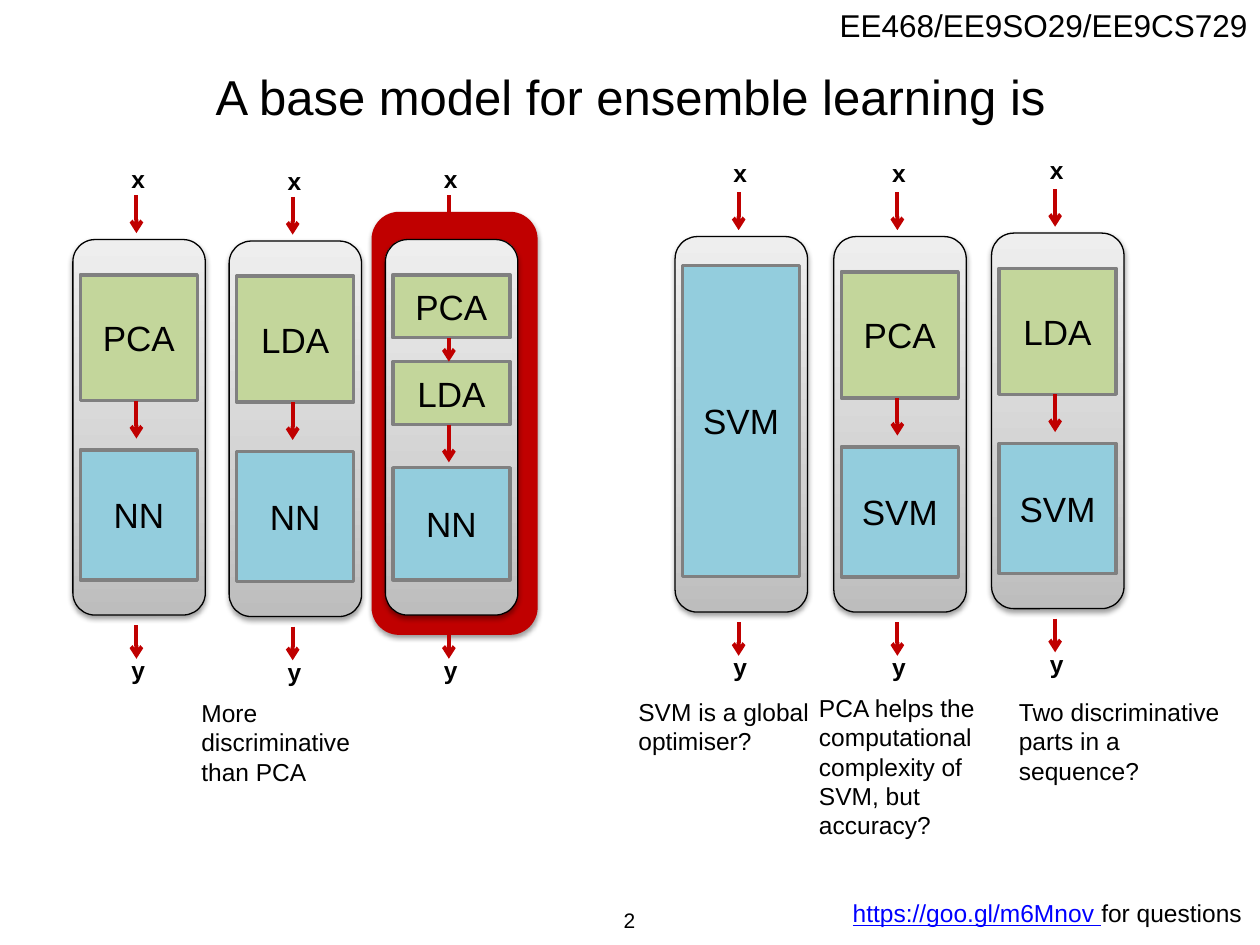
import pptx
import pptx.dml.color
import pptx.enum.shapes
import pptx.enum.text
import pptx.oxml
import pptx.oxml.ns
import pptx.util
from lxml import etree

Cm, Pt = pptx.util.Cm, pptx.util.Pt
SHAPE = pptx.enum.shapes.MSO_SHAPE
ALIGN = pptx.enum.text.PP_ALIGN
ANCHOR = pptx.enum.text.MSO_ANCHOR

BLACK, RED, GREY, BLUE = "000000", "C00000", "808080", "0000FF"
GREEN, TEAL = "C3D69B", "93CDDD"
CASE_STOPS = [(0, "BDBDBD"), (35, "D1D1D1"), (100, "EEEEEE")]

# Every length is in centimetres; stages are (name, fill, top inside case, height)
def two_stages(first, second):
    return [(first, GREEN, 0.71, 2.54), (second, TEAL, 4.24, 2.62)]


MODELS = [  # left, top, stages
    (1.47, 4.83, two_stages("PCA", "NN")),
    (4.62, 4.86, two_stages("LDA", "NN")),
    (7.77, 4.83, [("PCA", GREEN, 0.71, 1.27), ("LDA", GREEN, 2.46, 1.27),
                  ("NN", TEAL, 4.6, 2.26)]),
    (13.61, 4.77, [("SVM", TEAL, 0.58, 6.27)]),
    (16.81, 4.77, two_stages("PCA", "SVM")),
    (19.99, 4.7, two_stages("LDA", "SVM")),
]
CASE_W, CASE_H = 2.67, 7.57
STAGE_INSET, STAGE_W = 0.15, 2.36
ARROW_X, ARROW_LENGTH = 1.28, 0.76
HIGHLIGHT = (7.49, 4.27, 3.35, 8.53)

COMMENTS = [
    ((3.81, 13.94, 3.76, 2.06), "More discriminative than PCA"),
    ((12.62, 13.92, 4.04, 1.45), "SVM is a global optimiser?"),
    ((16.26, 13.84, 4.06, 3.25),
     "PCA helps the computational complexity of SVM, but accuracy?"),
    ((20.29, 13.92, 4.67, 2.06), "Two discriminative parts in a sequence?"),
]

deck = pptx.Presentation()
deck.slide_width, deck.slide_height = Cm(25.4), Cm(19.05)
slide = deck.slides.add_slide(deck.slide_layouts[6])


def rgb(value):
    return pptx.dml.color.RGBColor.from_string(value)


def drawing(tag, parent, **attributes):
    """Add a DrawingML element under parent."""
    return etree.SubElement(parent, pptx.oxml.ns.qn("a:" + tag), attributes)


def write(shape, runs, size, align=ALIGN.LEFT, anchor=ANCHOR.TOP, wrap=True):
    """Fill a shape with one paragraph of (text, colour, bold, underline) runs."""
    frame = shape.text_frame
    frame.word_wrap, frame.vertical_anchor = wrap, anchor
    paragraph = frame.paragraphs[0]
    paragraph.alignment = align
    for text, color, bold, underline in runs:
        run = paragraph.add_run()
        run.text = text
        run.font.name, run.font.size = "Arial", Pt(size)
        run.font.bold, run.font.underline = bold, underline
        run.font.color.rgb = rgb(color)


def plain(text, bold=False):
    return [(text, BLACK, bold, False)]


def text_box(box, runs, size, **layout):
    write(slide.shapes.add_textbox(*map(Cm, box)), runs, size, **layout)


def add_shape(kind, box, fill=None, line=None, width=0):
    shape = slide.shapes.add_shape(kind, *map(Cm, box))
    shape.shadow.inherit = False
    if fill:
        shape.fill.solid()
        shape.fill.fore_color.rgb = rgb(fill)
    else:
        shape.fill.background()
    if line:
        shape.line.color.rgb = rgb(line)
        shape.line.width = Pt(width)
    else:
        shape.line.fill.background()
    return shape


def cast_shadow(shape):
    effects = shape._element.spPr.find(pptx.oxml.ns.qn("a:effectLst"))
    shadow = drawing("outerShdw", effects, blurRad=str(Pt(3.1)), dist=str(Pt(1.6)),
                     dir="5400000", rotWithShape="0")
    drawing("alpha", drawing("srgbClr", shadow, val=BLACK), val="38000")


def shade_case(shape):
    """Replace the fill by the upward grey gradient."""
    properties = shape._element.spPr
    old = properties.find(pptx.oxml.ns.qn("a:solidFill"))
    gradient = drawing("gradFill", properties, rotWithShape="1")
    stops = drawing("gsLst", gradient)
    for position, color in CASE_STOPS:
        drawing("srgbClr", drawing("gs", stops, pos=str(position * 1000)), val=color)
    drawing("lin", gradient, ang="16200000", scaled="0")
    properties.replace(old, gradient)


def down_arrow(x, top, length):
    arrow = slide.shapes.add_connector(
        pptx.enum.shapes.MSO_CONNECTOR.STRAIGHT,
        Cm(x), Cm(top), Cm(x), Cm(top + length))
    arrow.line.color.rgb = rgb(RED)
    arrow.line.width = Pt(2.25)
    drawing("tailEnd", arrow.line._get_or_add_ln(), type="arrow")
    drawing("effectLst", arrow._element.spPr)


def add_model(left, top, stages):
    label_gap = 1.68 if left < 12 else 1.74
    for name, label_top in (("x", top - label_gap), ("y", top + 8.22)):
        label = add_shape(SHAPE.ROUNDED_RECTANGLE, (left + 0.86, label_top, 0.91, 0.79))
        write(label, plain(name, bold=True), 14, align=ALIGN.CENTER)
    down_arrow(left + ARROW_X, top - 0.89, ARROW_LENGTH)
    down_arrow(left + ARROW_X, top + 7.77, 0.68)

    case = add_shape(SHAPE.ROUNDED_RECTANGLE, (left, top, CASE_W, CASE_H),
                     CASE_STOPS[0][1], BLACK, 0.75)
    shade_case(case)
    cast_shadow(case)

    for name, fill, offset, height in stages:
        stage = add_shape(SHAPE.RECTANGLE,
                          (left + STAGE_INSET, top + offset, STAGE_W, height),
                          fill, GREY, 2)
        write(stage, plain(name), 20, align=ALIGN.CENTER, anchor=ANCHOR.MIDDLE)
    for (_, _, offset, height), following in zip(stages, stages[1:]):
        bottom = offset + height
        down_arrow(left + ARROW_X, top + bottom, min(ARROW_LENGTH, following[2] - bottom))


text_box((16.38, 0, 9.02, 1.02), plain("EE468/EE9SO29/EE9CS729"), 18,
         align=ALIGN.RIGHT, wrap=False)
text_box((16.94, 17.98, 8.46, 0.86),
         [("https://goo.gl/m6Mnov ", BLUE, False, True),
          ("for questions", BLACK, False, False)], 14)
text_box((0.43, 0.71, 24.56, 2.46), plain("A base model for ensemble learning is"), 28,
         align=ALIGN.CENTER, anchor=ANCHOR.MIDDLE)
text_box((9.73, 18.03, 5.92, 1.02), plain("2"), 12,
         align=ALIGN.CENTER, anchor=ANCHOR.MIDDLE)

cast_shadow(add_shape(SHAPE.ROUNDED_RECTANGLE, HIGHLIGHT, RED))
for model in MODELS:
    add_model(*model)
for place, comment in COMMENTS:
    text_box(place, plain(comment), 14)

deck.save("out.pptx")
